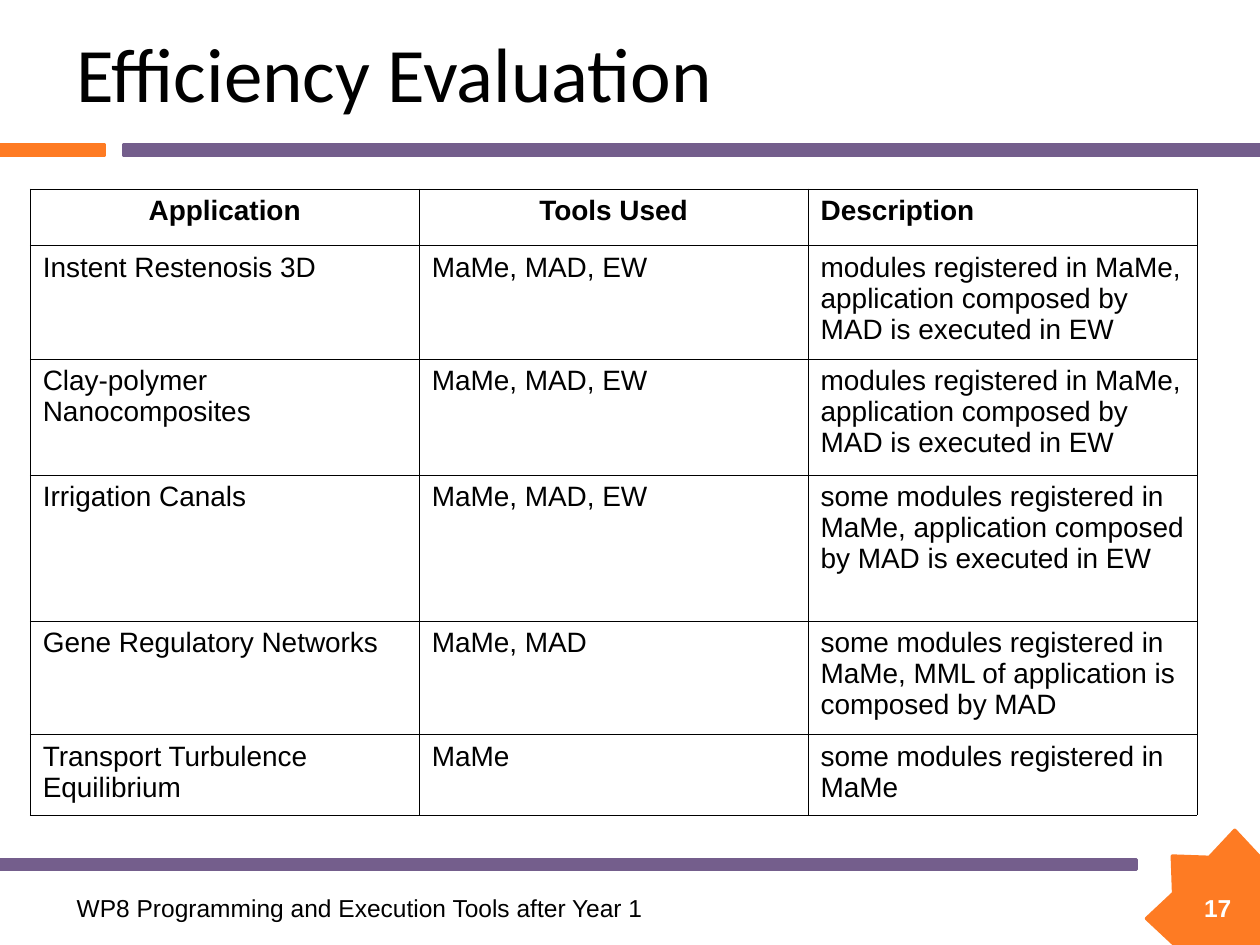
"""Build the efficiency evaluation slide with its table of applications and tools."""
from dataclasses import dataclass

from lxml import etree
from pptx import Presentation
from pptx import util as u
from pptx.dml.color import RGBColor
from pptx.enum import shapes, text
from pptx.oxml.ns import qn
from pptx.slide import Slide


@dataclass(frozen=True)
class Theme:
    orange: str = "FE7B23"
    purple: str = "745E8C"
    black: str = "000000"
    white: str = "FFFFFF"
    heading_font: str = "Calibri"
    body_font: str = "Arial"
    title_size: float = 44
    table_size: float = 16
    footer_size: float = 14
    outline: float = 2
    border: float = 0.45


@dataclass(frozen=True)
class Area:
    left: float
    top: float
    width: float
    height: float

    def lengths(self) -> tuple[u.Length, ...]:
        return tuple(u.Inches(n) for n in (self.left, self.top, self.width, self.height))


@dataclass(frozen=True)
class Ornament:
    kind: shapes.MSO_SHAPE
    area: Area
    color: str


@dataclass(frozen=True)
class Style:
    font: str
    size: float
    color: str
    bold: bool = False
    align: text.PP_ALIGN = text.PP_ALIGN.LEFT
    spacing: float = 1.0


@dataclass(frozen=True)
class Label:
    words: str
    area: Area
    style: Style
    anchor: text.MSO_ANCHOR = text.MSO_ANCHOR.MIDDLE


@dataclass(frozen=True)
class Row:
    height: float
    application: str
    tools: str
    description: str


THEME = Theme()
BAR = shapes.MSO_SHAPE.RECTANGLE
BAR_HEIGHT = 0.08
TABLE_AREA = Area(0.24, 1.5, 9.26, 4.97)

ORNAMENTS = (
    Ornament(shapes.MSO_SHAPE.STAR_8_POINT, Area(9.1, 6.59, 1.4, 1.4), THEME.orange),
    Ornament(BAR, Area(0.98, 1.15, 9.02, BAR_HEIGHT), THEME.purple),
    Ornament(BAR, Area(0, 1.15, 0.83, BAR_HEIGHT), THEME.orange),
    Ornament(BAR, Area(0, 6.82, 9.02, BAR_HEIGHT), THEME.purple),
)

LABELS = (
    Label("17", Area(9.33, 7.04, 0.67, 0.33),
          Style(THEME.body_font, THEME.footer_size, THEME.white, True, text.PP_ALIGN.CENTER),
          text.MSO_ANCHOR.TOP),
    Label("Efficiency Evaluation", Area(0.51, 0.21, 6.77, 0.78),
          Style(THEME.heading_font, THEME.title_size, THEME.black, spacing=0.98)),
    Label("WP8 Programming and Execution Tools after Year 1", Area(0.51, 7.06, 8.98, 0.29),
          Style(THEME.body_font, THEME.footer_size, THEME.black)),
)

FULL_CHAIN = "MaMe, MAD, EW"
COMPOSED = "application composed by MAD is executed in EW"
ROWS = (
    Row(0.45, "Application", "Tools Used", "Description"),
    Row(0.9, "Instent Restenosis 3D", FULL_CHAIN, f"modules registered in MaMe, {COMPOSED}"),
    Row(0.92, "Clay-polymer Nanocomposites", FULL_CHAIN,
        f"modules registered in MaMe, {COMPOSED}"),
    Row(1.16, "Irrigation Canals", FULL_CHAIN, f"some modules registered in MaMe, {COMPOSED}"),
    Row(0.9, "Gene Regulatory Networks", "MaMe, MAD",
        "some modules registered in MaMe, MML of application is composed by MAD"),
    Row(0.64, "Transport Turbulence Equilibrium", "MaMe", "some modules registered in MaMe"),
)


def write(frame, words: str, style: Style) -> None:
    frame.word_wrap = True
    para = frame.paragraphs[0]
    para.text = words
    para.alignment = style.align
    para.line_spacing = style.spacing
    para.font.name = style.font
    para.font.size = u.Pt(style.size)
    para.font.bold = style.bold
    para.font.color.rgb = RGBColor.from_string(style.color)


def draw_ornament(page: Slide, ornament: Ornament) -> None:
    shape = page.shapes.add_shape(ornament.kind, *ornament.area.lengths())
    color = RGBColor.from_string(ornament.color)
    shape.shadow.inherit = False
    shape.fill.solid()
    shape.fill.fore_color.rgb = color
    shape.line.color.rgb = color
    shape.line.width = u.Pt(THEME.outline)


def draw_label(page: Slide, label: Label) -> None:
    box = page.shapes.add_textbox(*label.area.lengths())
    box.text_frame.vertical_anchor = label.anchor
    write(box.text_frame, label.words, label.style)


def add_borders(cell) -> None:
    properties = cell._tc.get_or_add_tcPr()
    for side in ("a:lnL", "a:lnR", "a:lnT", "a:lnB"):
        line = etree.SubElement(properties, qn(side), w=str(u.Pt(THEME.border)))
        fill = etree.SubElement(line, qn("a:solidFill"))
        etree.SubElement(fill, qn("a:srgbClr"), val=THEME.black)


def draw_table(page: Slide, rows: tuple[Row, ...], area: Area) -> None:
    table = page.shapes.add_table(len(rows), 3, *area.lengths()).table
    table.horz_banding = False
    for column in table.columns:
        column.width = u.Inches(area.width / 3)
    for r, row in enumerate(rows):
        table.rows[r].height = u.Inches(row.height)
        for c, words in enumerate((row.application, row.tools, row.description)):
            header = r == 0
            align = text.PP_ALIGN.CENTER if header and c < 2 else text.PP_ALIGN.LEFT
            cell = table.cell(r, c)
            add_borders(cell)
            cell.fill.solid()
            cell.fill.fore_color.rgb = RGBColor.from_string(THEME.white)
            write(cell.text_frame, words,
                  Style(THEME.body_font, THEME.table_size, THEME.black, header, align))


def main() -> None:
    deck = Presentation()
    deck.slide_width, deck.slide_height = u.Inches(10), u.Inches(7.5)
    page = deck.slides.add_slide(deck.slide_layouts[6])
    for ornament in ORNAMENTS:
        draw_ornament(page, ornament)
    for label in LABELS:
        draw_label(page, label)
    draw_table(page, ROWS, TABLE_AREA)
    deck.save("out.pptx")


if __name__ == "__main__":
    main()
